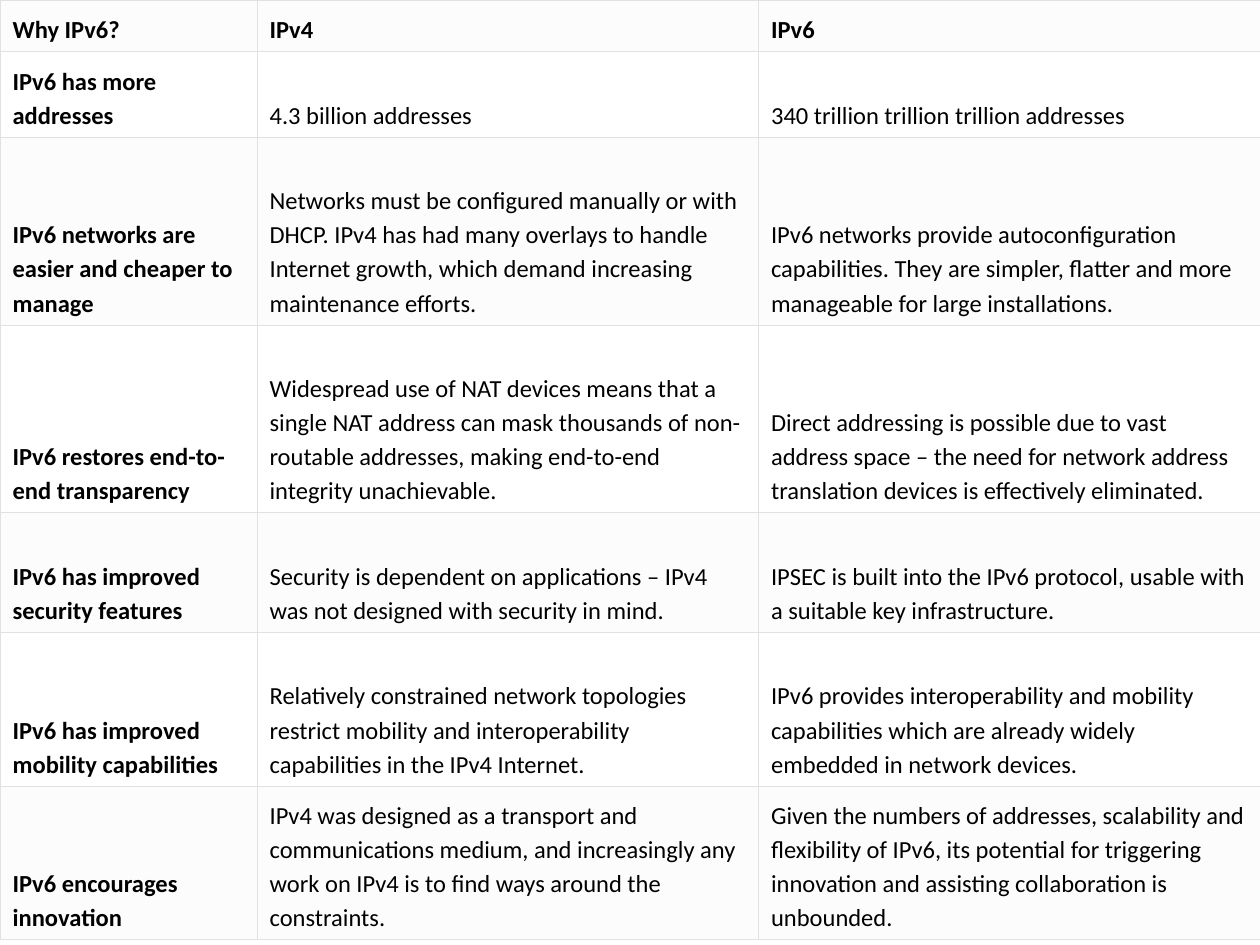
from lxml.etree import SubElement as Sub
from pptx import Presentation
from pptx.dml.color import RGBColor
from pptx.enum.text import MSO_ANCHOR as Anchor
from pptx.oxml.ns import qn
from pptx.util import Inches, Pt

COLS = [2.04, 3.98, 3.98]
HIGHS = [0.41, 0.68, 1.49, 1.49, 0.95, 1.22, 1.22]
ROWS = [
    ("Why IPv6?", "IPv4", "IPv6"),
    ("IPv6 has more addresses",
     "4.3 billion addresses",
     "340 trillion trillion trillion addresses"),
    ("IPv6 networks are easier and cheaper to manage",
     "Networks must be configured manually or with DHCP. IPv4 has had many "
     "overlays to handle Internet growth, which demand increasing maintenance efforts.",
     "IPv6 networks provide autoconfiguration capabilities. They are simpler, "
     "flatter and more manageable for large installations."),
    ("IPv6 restores end-to-end transparency",
     "Widespread use of NAT devices means that a single NAT address can mask "
     "thousands of non-routable addresses, making end-to-end integrity unachievable.",
     "Direct addressing is possible due to vast address space – the need for "
     "network address translation devices is effectively eliminated."),
    ("IPv6 has improved security features",
     "Security is dependent on applications – IPv4 was not designed with security in mind.",
     "IPSEC is built into the IPv6 protocol, usable with a suitable key infrastructure."),
    ("IPv6 has improved mobility capabilities",
     "Relatively constrained network topologies restrict mobility and "
     "interoperability capabilities in the IPv4 Internet.",
     "IPv6 provides interoperability and mobility capabilities which are already "
     "widely embedded in network devices."),
    ("IPv6 encourages innovation",
     "IPv4 was designed as a transport and communications medium, and increasingly "
     "any work on IPv4 is to find ways around the constraints.",
     "Given the numbers of addresses, scalability and flexibility of IPv6, its "
     "potential for triggering innovation and assisting collaboration is unbounded."),
]


def color(code):
    return RGBColor.from_string(code)


def add_edges(cell, code, width):
    props = cell._tc.get_or_add_tcPr()
    for side in ("lnL", "lnR", "lnT", "lnB"):
        line = Sub(props, qn(f"a:{side}"), w=str(Pt(width)))
        Sub(Sub(line, qn("a:solidFill")), qn("a:srgbClr"), val=code)


def fill_cell(cell, text, back, bold):
    add_edges(cell, "E1E1E1", 0.45)
    cell.fill.solid()
    cell.fill.fore_color.rgb = color(back)
    cell.vertical_anchor = Anchor.BOTTOM
    cell.margin_left = cell.margin_right = Inches(0.1)
    cell.margin_top = cell.margin_bottom = Inches(0.05)
    cell.text = text
    para = cell.text_frame.paragraphs[0]
    para.line_spacing = 1.15
    font = para.font
    font.name, font.size, font.bold = "Calibri", Pt(14), bold
    font.color.rgb = color("000000")


def add_grid(slide, left, top, width, height):
    frame = slide.shapes.add_table(len(ROWS), len(COLS), Inches(left), Inches(top),
                                   Inches(width), Inches(height))
    table = frame.table
    table.first_row = table.horz_banding = False
    for col, part in zip(table.columns, COLS):
        col.width = Inches(width * part / sum(COLS))
    for row, part in zip(table.rows, HIGHS):
        row.height = Inches(height * part / sum(HIGHS))
    for r, texts in enumerate(ROWS):
        back = "FFFFFF" if r % 2 else "FCFCFC"
        for c, text in enumerate(texts):
            fill_cell(table.cell(r, c), text, back, r == 0 or c == 0)


def main():
    deck = Presentation()
    deck.slide_width, deck.slide_height = Inches(10), Inches(7.5)
    slide = deck.slides.add_slide(deck.slide_layouts[6])
    add_grid(slide, 0, 0, 10, sum(HIGHS))
    deck.save("out.pptx")


if __name__ == "__main__":
    main()
